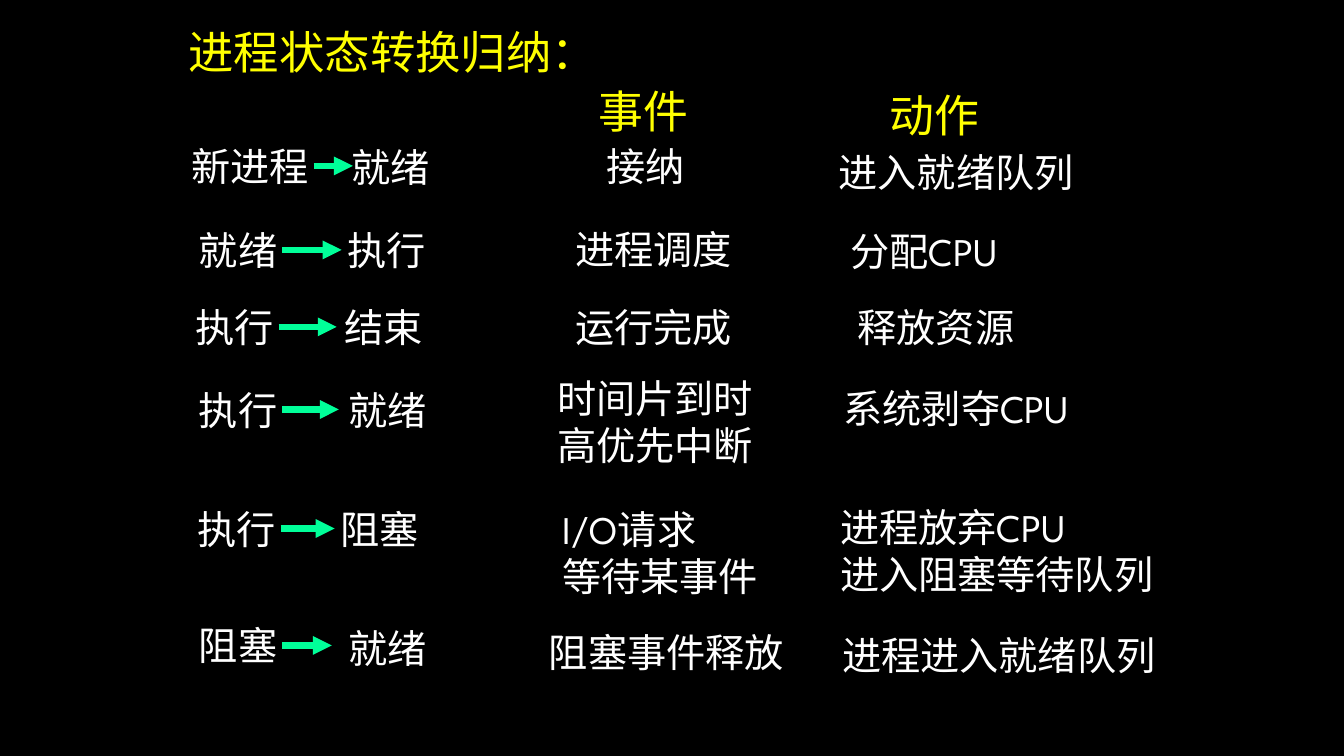
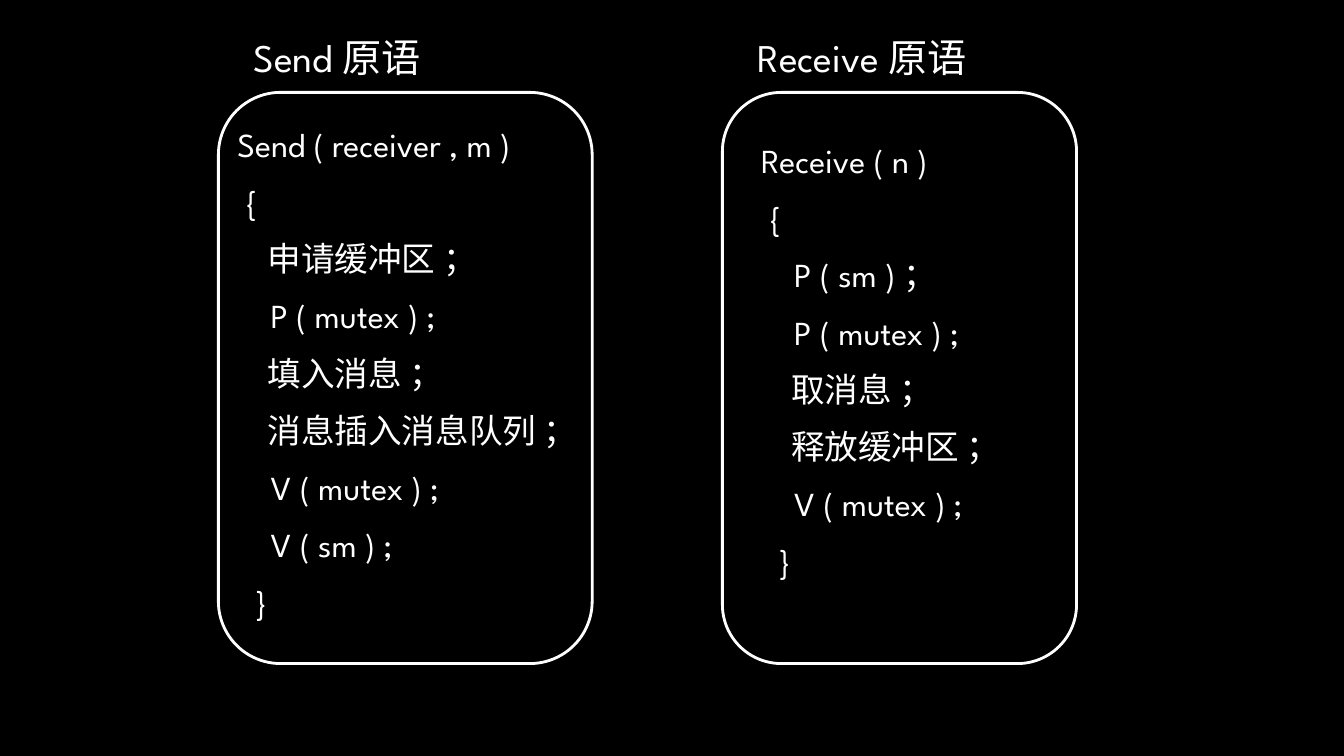
from itertools import groupby

from lxml import etree
from pptx import Presentation
from pptx.dml.color import RGBColor
from pptx.enum.shapes import MSO_CONNECTOR, MSO_SHAPE
from pptx.enum.text import MSO_ANCHOR, PP_ALIGN
from pptx.oxml.ns import qn
from pptx.util import Pt

COLORS = {"back": "000000", "text": "FFFFFF", "title": "FFFF00", "arrow": "00FF99"}
LATIN, CHINESE = "League Spartan", "Noto Sans CJK SC"
TITLE_ONLY, BLANK = 5, 6
BODY, HEADING, CODE = 28, 32, 24
LINE_HEIGHT = 1.2
COLUMN_WIDTHS = (100, 80, 186, 246)

# Row top, arrow end, then (left, shift down, text) for each column
TRANSITIONS = [
    (96, 252, [(129.5, 0, "新进程"), (244, 0.5, "就绪"),
               (426, 0, "接纳"), (592, 4, "进入就绪队列")]),
    (156, 244, [(135, 0, "就绪"), (241, 0, "执行"),
                (404, -1, "进程调度"), (600.5, 1, "分配CPU")]),
    (211, 240.5, [(132.5, 0, "执行"), (239, 0, "结束"),
                  (404, 0, "运行完成"), (605.5, 0, "释放资源")]),
    (270, 242, [(135, 0, "执行"), (242, 0, "就绪"),
                (391, -8, "时间片到时\n高优先中断"), (595.5, -1, "系统剥夺CPU")]),
    (355, 239, [(134, 0, "执行"), (236, 0, "阻塞"),
                (394.5, 0, "I/O请求\n等待某事件"),
                (593, -1, "进程放弃CPU\n进入阻塞等待队列")]),
    (438.5, 237, [(135, 0, "阻塞"), (242, 1.5, "就绪"),
                  (385, 5, "阻塞事件释放"), (594.5, 6.5, "进程进入就绪队列")]),
]

SEND_CODE = """Send ( receiver , m )
 {
    申请缓冲区 ；
    P ( mutex ) ;
    填入消息 ；
    消息插入消息队列 ；
    V ( mutex ) ;
    V ( sm ) ;
  }"""

RECEIVE_CODE = """Receive ( n )
 {
    P ( sm ) ；
    P ( mutex ) ;
    取消息 ；
    释放缓冲区 ；
    V ( mutex ) ;
  }"""


def format_span(span, size, color, latin):
    span.font.size = Pt(size)
    span.font.name = latin
    span.font.color.rgb = RGBColor.from_string(COLORS[color])
    east_asian = etree.SubElement(span.font._element, qn("a:ea"))
    east_asian.set("typeface", CHINESE)


def add_text(page, left, top, width, text, size=BODY, color="text", latin=None, gap=0):
    """Without a latin font, ASCII and Chinese parts become separate runs."""
    lines = text.split("\n")
    height = len(lines) * size * LINE_HEIGHT + (len(lines) - 1) * gap + 7.2
    box = page.shapes.add_textbox(Pt(left), Pt(top), Pt(width), Pt(height))
    frame = box.text_frame
    frame.word_wrap = True
    frame.margin_top = Pt(5.6)
    frame.margin_bottom = Pt(1.6)
    for index, line in enumerate(lines):
        para = frame.add_paragraph() if index else frame.paragraphs[0]
        para.line_spacing = Pt(size * LINE_HEIGHT)
        para.space_before = Pt(gap if index else 0)
        if latin:
            parts = [(latin, line)]
        else:
            parts = [(LATIN if ascii_part else CHINESE, "".join(letters))
                     for ascii_part, letters in groupby(line, str.isascii)]
        for font, part in parts:
            span = para.add_run()
            span.text = part
            format_span(span, size, color, font)


def add_arrow(page, start, end, y):
    arrow = page.shapes.add_connector(
        MSO_CONNECTOR.STRAIGHT, Pt(start), Pt(y), Pt(end), Pt(y))
    arrow.line.color.rgb = RGBColor.from_string(COLORS["arrow"])
    arrow.line.width = Pt(4.5)
    properties = arrow._element.spPr
    head = etree.SubElement(properties.find(qn("a:ln")), qn("a:tailEnd"))
    head.set("type", "triangle")
    etree.SubElement(properties, qn("a:effectLst"))


def add_title(page, text, left, top, width, height):
    title = page.shapes.title
    title.left, title.top, title.width, title.height = map(Pt, (left, top, width, height))
    frame = title.text_frame
    frame.text = text
    frame.vertical_anchor = MSO_ANCHOR.MIDDLE
    frame.word_wrap = True
    frame.paragraphs[0].alignment = PP_ALIGN.LEFT
    format_span(frame.paragraphs[0].runs[0], 32.4, "title", CHINESE)


def add_transition(page, top, arrow_end, cells):
    for width, (left, shift, text) in zip(COLUMN_WIDTHS, cells):
        add_text(page, left, top + shift, width, text)
    left, _, state = cells[0]
    add_arrow(page, left + len(state) * BODY + 10.5, arrow_end, top + 22.5)


def add_primitive(page, left, top, width, height, name, code, code_left, code_top):
    """A named, rounded frame; the code is placed relative to its corner."""
    frame = page.shapes.add_shape(
        MSO_SHAPE.FLOWCHART_ALTERNATE_PROCESS, Pt(left), Pt(top), Pt(width), Pt(height))
    frame.shadow.inherit = False
    frame.fill.background()
    frame.line.color.rgb = RGBColor.from_string(COLORS["text"])
    frame.line.width = Pt(2)
    add_text(page, left + 18, top - 48, 206, name, latin=LATIN)
    add_text(page, left + code_left, top + code_top, width - code_left + 10, code,
             CODE, latin=LATIN, gap=12)


def build_transitions(deck):
    page = deck.slides.add_slide(deck.slide_layouts[TITLE_ONLY])
    add_title(page, "进程状态转换归纳：", 127.5, 16, 353, 42)
    add_text(page, 420.5, 54.5, 90, "事件", HEADING, "title", LATIN)
    add_text(page, 628.5, 57, 94, "动作", HEADING, "title", LATIN)
    for top, arrow_end, cells in TRANSITIONS:
        add_transition(page, top, arrow_end, cells)


def build_primitives(deck):
    page = deck.slides.add_slide(deck.slide_layouts[BLANK])
    add_primitive(page, 156, 66, 267, 408, "Send 原语", SEND_CODE, 6.5, 17)
    add_primitive(page, 516, 66, 253, 408, "Receive 原语", RECEIVE_CODE, 20.5, 28.5)


def main():
    deck = Presentation()
    deck.slide_width, deck.slide_height = Pt(960), Pt(540)
    fill = deck.slide_master.background.fill
    fill.solid()
    fill.fore_color.rgb = RGBColor.from_string(COLORS["back"])
    build_transitions(deck)
    build_primitives(deck)
    deck.save("out.pptx")


if __name__ == "__main__":
    main()
